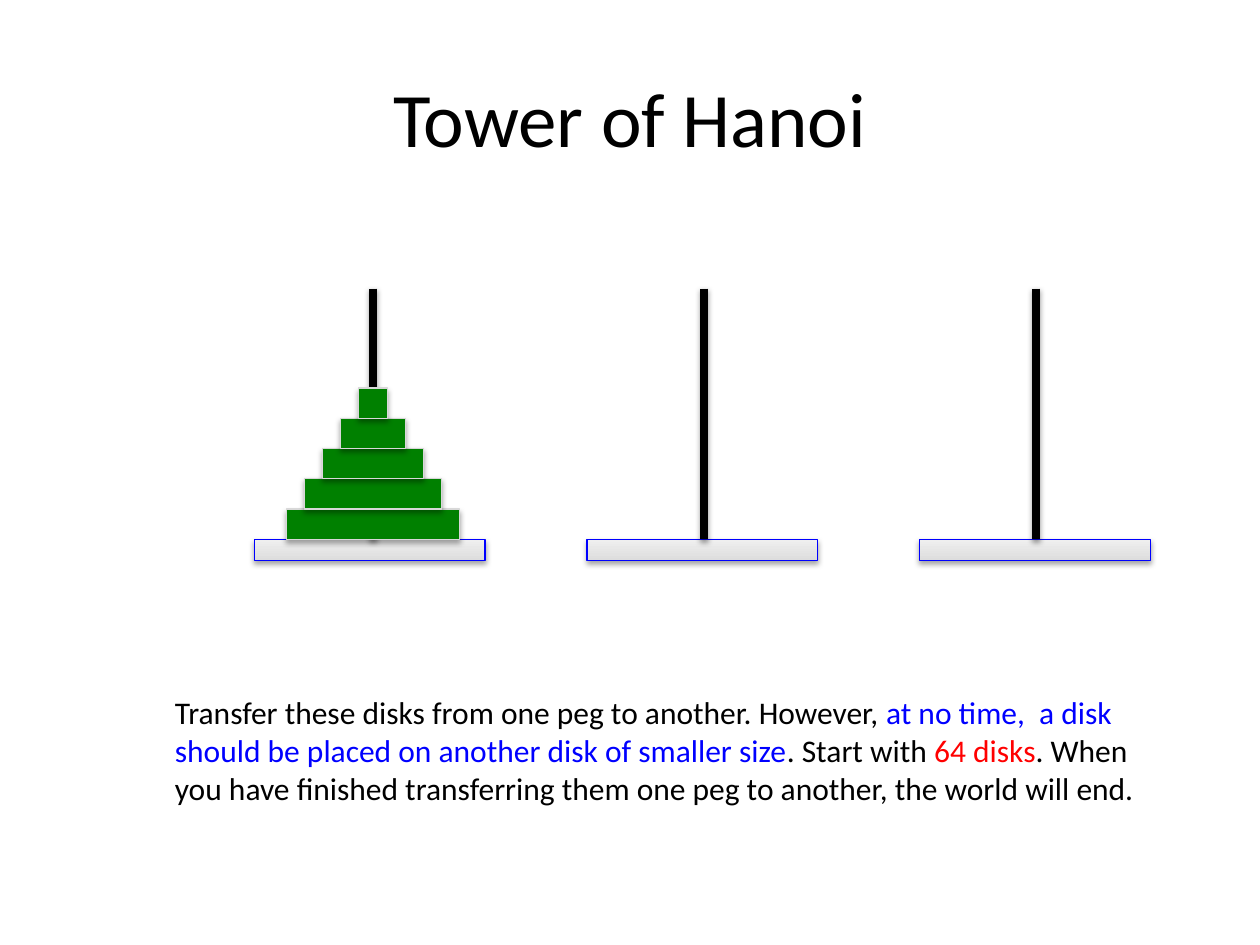
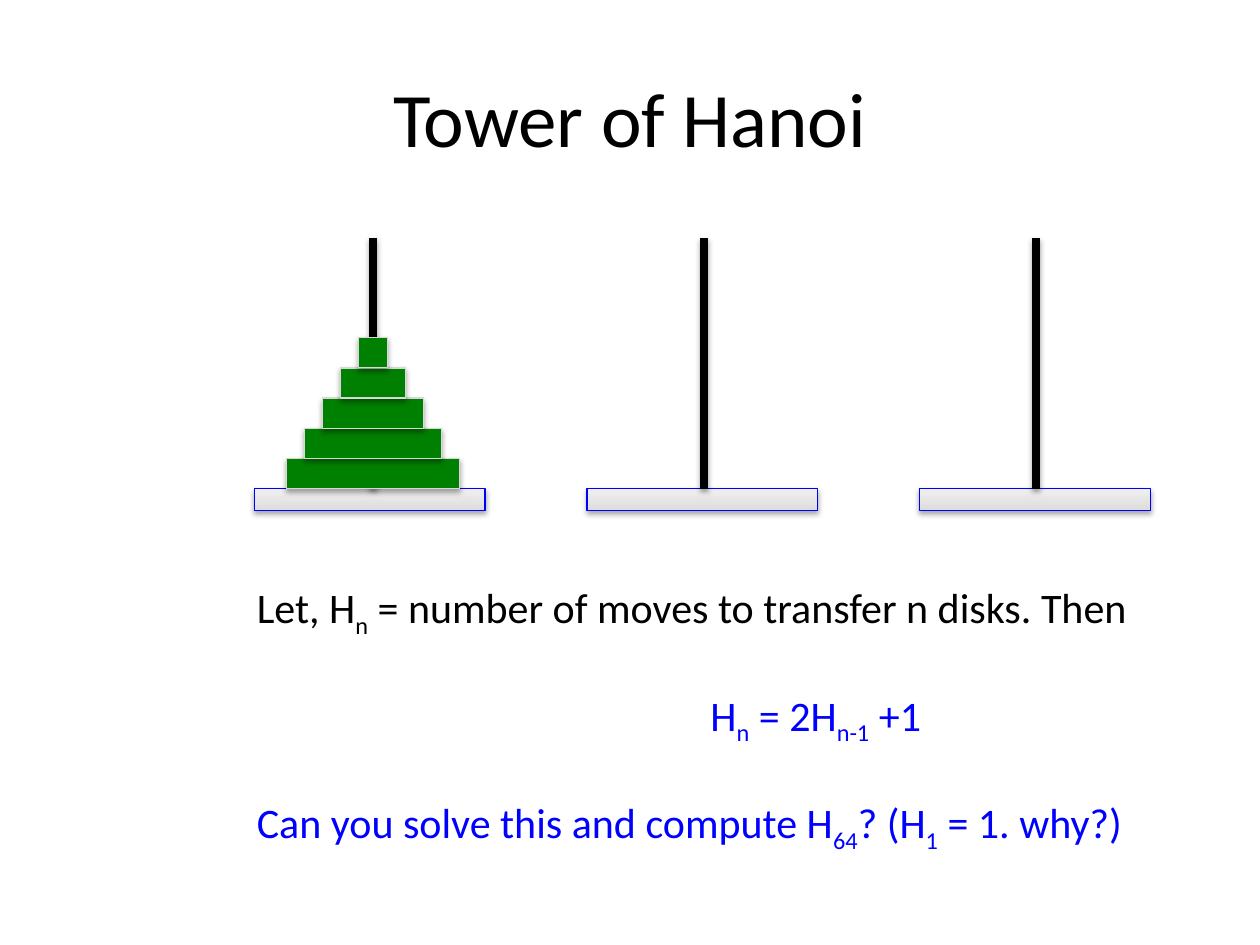
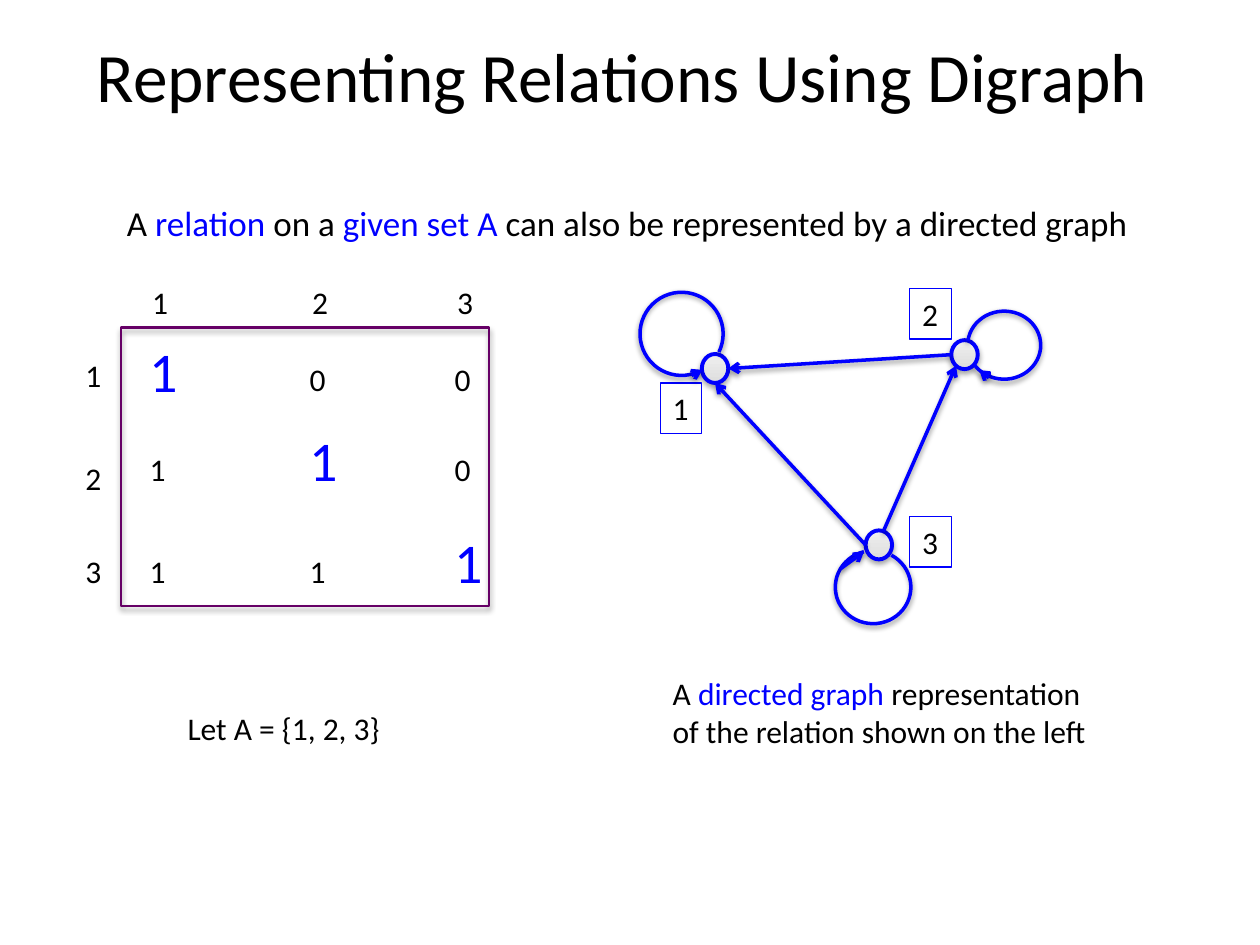
from dataclasses import dataclass
from math import cos, radians, sin

from lxml.etree import SubElement
from pptx import Presentation
from pptx.dml.color import RGBColor
from pptx.enum.shapes import MSO_CONNECTOR, MSO_SHAPE
from pptx.enum.text import MSO_ANCHOR, MSO_AUTO_SIZE, PP_ALIGN
from pptx.oxml.ns import qn
from pptx.util import Inches, Pt


@dataclass(frozen=True)
class Theme:
    font: str = "Calibri"
    black: str = "000000"
    blue: str = "0000FF"
    red: str = "FF0000"
    green: str = "008000"
    purple: str = "660066"
    silver: str = "D8D8D8"
    gradient: tuple = ("DDDDDD", "EFEFEF")
    title: float = 44
    long_title: float = 39.6
    emphasis: float = 32
    formula: float = 24
    lead: float = 20
    body: float = 18
    hairline: float = 0.75
    frame: float = 1.5
    edge: float = 2
    node: float = 2.25
    peg: float = 4.5


@dataclass(frozen=True)
class Ellipse:
    x: float
    y: float
    rx: float
    ry: float

    def point(self, degrees):
        angle = radians(degrees)
        return self.x + self.rx * cos(angle), self.y + self.ry * sin(angle)

    def arc(self, start, end, steps=48):
        return [self.point(start + (end - start) * step / steps)
                for step in range(steps + 1)]

    def box(self):
        return self.x - self.rx, self.y - self.ry, 2 * self.rx, 2 * self.ry


@dataclass(frozen=True)
class SelfLoop:
    outline: Ellipse
    sweep: tuple
    arrow: tuple


THEME = Theme()
BLACK, BLUE, RED = THEME.black, THEME.blue, THEME.red
SUBSCRIPT = "-25000"
TITLE_BOX = (0.5, 0.3, 9, 1.25)
DIGIT_SIZE = (0.33, 0.4)
BIG_DIGIT_SIZE = (0.43, 0.64)


class Deck:
    def __init__(self):
        self.presentation = Presentation()
        self.presentation.slide_width = Inches(10)
        self.presentation.slide_height = Inches(7.5)
        self.slide = None

    def new_slide(self, title, box=TITLE_BOX, size=THEME.title, anchor=MSO_ANCHOR.MIDDLE):
        blank = self.presentation.slide_layouts[6]
        self.slide = self.presentation.slides.add_slide(blank)
        frame = self.text(box, [[(title, BLACK)]], size, wrap=True).text_frame
        frame.auto_size = MSO_AUTO_SIZE.NONE
        frame.vertical_anchor = anchor
        frame.margin_top = frame.margin_bottom = 0
        frame.paragraphs[0].alignment = PP_ALIGN.CENTER

    def text(self, box, lines, size=THEME.body, wrap=False, outline=None):
        block = self.slide.shapes.add_textbox(*map(Inches, box))
        frame = block.text_frame
        frame.word_wrap = wrap
        frame.auto_size = MSO_AUTO_SIZE.SHAPE_TO_FIT_TEXT
        for index, parts in enumerate(lines):
            paragraph = frame.add_paragraph() if index else frame.paragraphs[0]
            self.fill_paragraph(paragraph, parts, size)
        if outline:
            self.stroke(block.line, outline, THEME.hairline)
        return block

    def fill_paragraph(self, paragraph, parts, size):
        paragraph.font.name = THEME.font
        paragraph.font.size = Pt(size)
        colors = {color for _, color, *_ in parts}
        if len(colors) == 1:
            paragraph.font.color.rgb = RGBColor.from_string(*colors)
        for content, color, *baseline in parts:
            run = paragraph.add_run()
            run.text = content
            if len(colors) > 1:
                run.font.color.rgb = RGBColor.from_string(color)
            if baseline:
                run._r.get_or_add_rPr().set("baseline", baseline[0])

    def digit(self, corner, value, outline=None):
        self.text((*corner, *DIGIT_SIZE), [[(str(value), BLACK)]], outline=outline)

    def shape(self, kind, box, line, width, fill=None):
        figure = self.slide.shapes.add_shape(kind, *map(Inches, box))
        if fill is None:
            figure.fill.background()
        elif isinstance(fill, str):
            figure.fill.solid()
            figure.fill.fore_color.rgb = RGBColor.from_string(fill)
        else:
            figure.fill.gradient()
            figure.fill.gradient_angle = 90
            for stop, color in zip(figure.fill.gradient_stops, fill):
                stop.color.rgb = RGBColor.from_string(color)
        self.stroke(figure.line, line, width)
        self.shadow(figure, 35, 1.8)

    def line(self, start, end, color, width, arrow=False):
        ends = map(Inches, (*start, *end))
        link = self.slide.shapes.add_connector(MSO_CONNECTOR.STRAIGHT, *ends)
        self.stroke(link.line, color, width)
        if arrow:
            SubElement(link.line._get_or_add_ln(), qn("a:tailEnd"), type="arrow")
        self.shadow(link, 38, 1.6)

    def curve(self, points, color, width):
        start, *rest = [tuple(map(Inches, point)) for point in points]
        builder = self.slide.shapes.build_freeform(*start)
        builder.add_line_segments(rest, close=False)
        outline = builder.convert_to_shape()
        outline.fill.background()
        self.stroke(outline.line, color, width)
        self.shadow(outline, 38, 1.6)

    def stroke(self, line, color, width):
        line.color.rgb = RGBColor.from_string(color)
        line.width = Pt(width)

    def shadow(self, figure, opacity, distance):
        effects = SubElement(figure._element.spPr, qn("a:effectLst"))
        outer = SubElement(effects, qn("a:outerShdw"), blurRad=str(Pt(3.1)),
                           dist=str(Pt(distance)), dir="5400000", rotWithShape="0")
        color = SubElement(outer, qn("a:srgbClr"), val=BLACK)
        SubElement(color, qn("a:alpha"), val=str(opacity * 1000))


def draw_towers(deck, base_top):
    towers, disks = 3, 5
    first_base, base_gap, base_width, base_height = 2.02, 2.64, 1.83, 0.17
    first_peg, peg_gap, peg_height = 2.96, 2.63, 1.99
    widest, shrink, disk_height = 1.37, 0.285, 0.24

    for tower in range(towers):
        base = (first_base + tower * base_gap, base_top, base_width, base_height)
        deck.shape(MSO_SHAPE.RECTANGLE, base, BLUE, THEME.hairline, THEME.gradient)
    for tower in range(towers):
        x = first_peg + tower * peg_gap
        deck.line((x, base_top - peg_height), (x, base_top), BLACK, THEME.peg)
    for level in range(disks):
        width = widest - level * shrink
        disk = (first_peg - width / 2, base_top - (level + 1) * disk_height,
                width, disk_height)
        deck.shape(MSO_SHAPE.RECTANGLE, disk, THEME.silver, THEME.hairline, THEME.green)


def hanoi_rules(deck):
    deck.new_slide("Tower of Hanoi")
    draw_towers(deck, base_top=4.28)
    deck.text((1.29, 5.45, 7.84, 1.01), [
        [("Transfer these disks from one peg to another. However, ", BLACK),
         ("at no time,  a disk", BLUE)],
        [("should be placed on another disk of smaller size", BLUE),
         (". Start with ", BLACK), ("64 disks", RED), (". When", BLACK)],
        [("you have finished transferring them one peg to another, "
          "the world will end.", BLACK)],
    ])


def hanoi_recurrence(deck):
    deck.new_slide("Tower of Hanoi")
    draw_towers(deck, base_top=3.88)
    recurrence = deck.text((1.94, 4.57, 7.33, 2.93), [
        [("Let, H", BLACK), ("n", BLACK, SUBSCRIPT),
         (" = number of moves to transfer n disks. Then", BLACK)],
        [("H", BLUE), ("n", BLUE, SUBSCRIPT), (" = 2H", BLUE),
         ("n-1", BLUE, SUBSCRIPT), (" +1", BLUE)],
        [("Can you solve this and compute H", BLUE), ("64", BLUE, SUBSCRIPT),
         ("? (H", BLUE), ("1", BLUE, SUBSCRIPT), (" = 1. why?)", BLUE)],
    ], THEME.formula, wrap=True)
    _, formula, question = recurrence.text_frame.paragraphs
    formula.space_before = question.space_before = Pt(28.6)
    formula._p.get_or_add_pPr().set("marL", str(Inches(3.6)))


def draw_matrix(deck):
    relation = ((1, 0, 0), (1, 1, 0), (1, 1, 1))
    columns, rows = (1.09, 2.36, 3.51), (2.81, 3.52, 4.33)
    head_left, head_top, head_rows = 0.58, 2.2, (2.78, 3.59, 4.33)
    diagonal_rise = 0.19

    deck.shape(MSO_SHAPE.RECTANGLE, (0.96, 2.6, 2.92, 2.21), THEME.purple, THEME.frame)
    for row, top in enumerate(rows):
        for column, left in enumerate(columns):
            value = relation[row][column]
            if row == column:
                deck.text((left, top - diagonal_rise, *BIG_DIGIT_SIZE),
                          [[(str(value), BLUE)]], THEME.emphasis)
            else:
                deck.digit((left, top), value)
    for element, (left, top) in enumerate(zip(columns, head_rows), 1):
        deck.digit((left + 0.02, head_top), element)
        deck.digit((head_left, top), element)


def draw_digraph(deck):
    right, bottom, lower_left, left, top_right = 0, 90, 130, 180, -70
    node_radii = (0.105, 0.115)
    nodes = {
        1: Ellipse(5.675, 2.925, *node_radii),
        2: Ellipse(7.655, 2.815, *node_radii),
        3: Ellipse(6.975, 4.325, *node_radii),
    }
    labels = {1: (5.24, 3.04), 2: (7.22, 2.29), 3: (7.22, 4.1)}
    edges = (
        (2, left, 1, right),
        (3, top_right, 2, lower_left),
        (3, left, 1, bottom),
    )
    self_loops = (
        SelfLoop(Ellipse(5.41, 2.65, 0.33, 0.33), sweep=(65, 386), arrow=(65, 60)),
        SelfLoop(Ellipse(7.97, 2.74, 0.29, 0.27), sweep=(187, 505), arrow=(128, 133)),
        SelfLoop(Ellipse(6.93, 4.66, 0.3, 0.29), sweep=(-61, 256), arrow=(210, 256)),
    )

    for element, node in nodes.items():
        deck.shape(MSO_SHAPE.OVAL, node.box(), BLUE, THEME.node, THEME.gradient)
        deck.digit(labels[element], element, outline=BLUE)
    for source, exit_angle, target, entry_angle in edges:
        deck.line(nodes[source].point(exit_angle), nodes[target].point(entry_angle),
                  BLUE, THEME.edge, arrow=True)
    for loop in self_loops:
        deck.curve(loop.outline.arc(*loop.sweep), BLUE, THEME.edge)
        deck.line(*map(loop.outline.point, loop.arrow), BLUE, THEME.edge, arrow=True)


def digraph_slide(deck):
    deck.new_slide("Representing Relations Using Digraph", (0.44, 0.26, 9, 1.25),
                   THEME.long_title, MSO_ANCHOR.TOP)
    deck.text((0.91, 1.55, 8.2, 0.44), [
        [("A ", BLACK), ("relation ", BLUE), ("on a ", BLACK), ("given set A ", BLUE),
         ("can also be represented by a directed graph", BLACK)],
    ], THEME.lead)
    draw_matrix(deck)
    draw_digraph(deck)
    deck.text((1.39, 5.58, 1.74, 0.4), [[("Let A = {1, 2, 3}", BLACK)]])
    deck.text((5.24, 5.3, 3.55, 0.71), [
        [("A ", BLACK), ("directed graph ", BLUE), ("representation", BLACK)],
        [("of the relation shown on the left", BLACK)],
    ])


def main():
    deck = Deck()
    hanoi_rules(deck)
    hanoi_recurrence(deck)
    digraph_slide(deck)
    deck.presentation.save("out.pptx")


if __name__ == "__main__":
    main()
